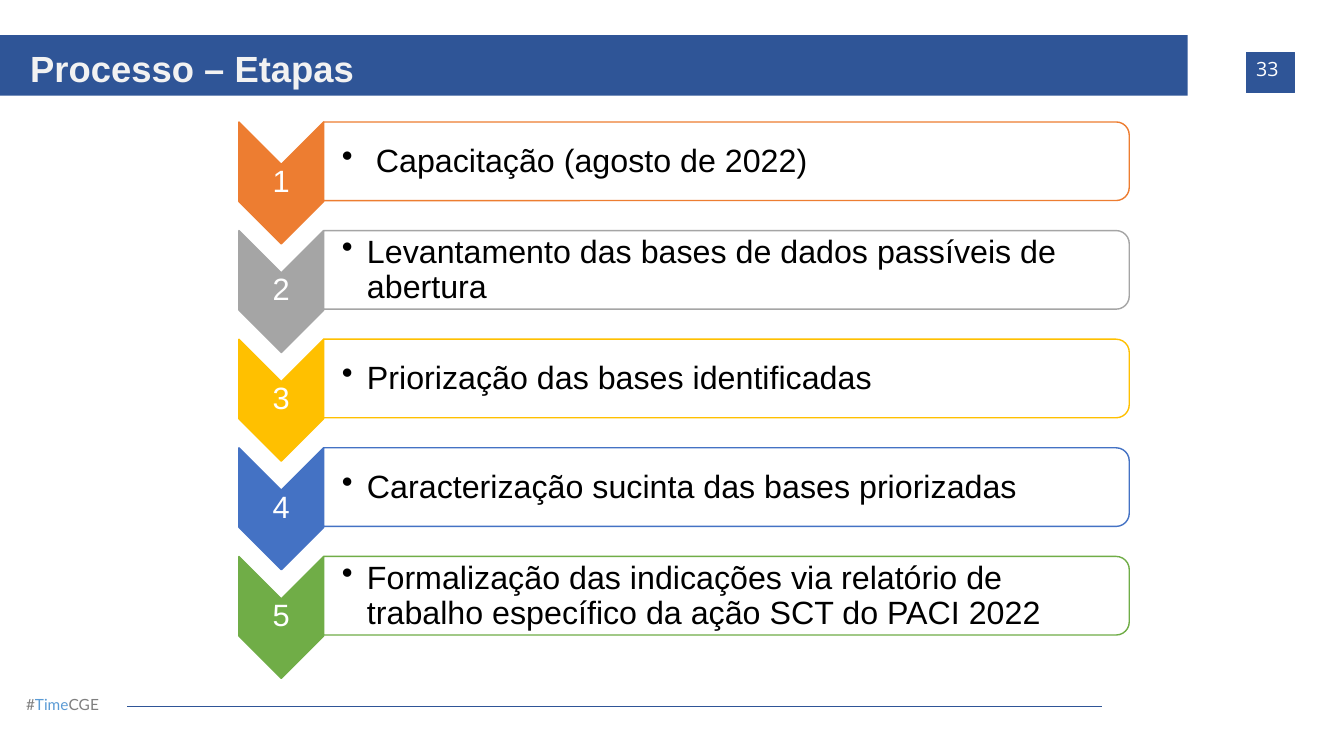
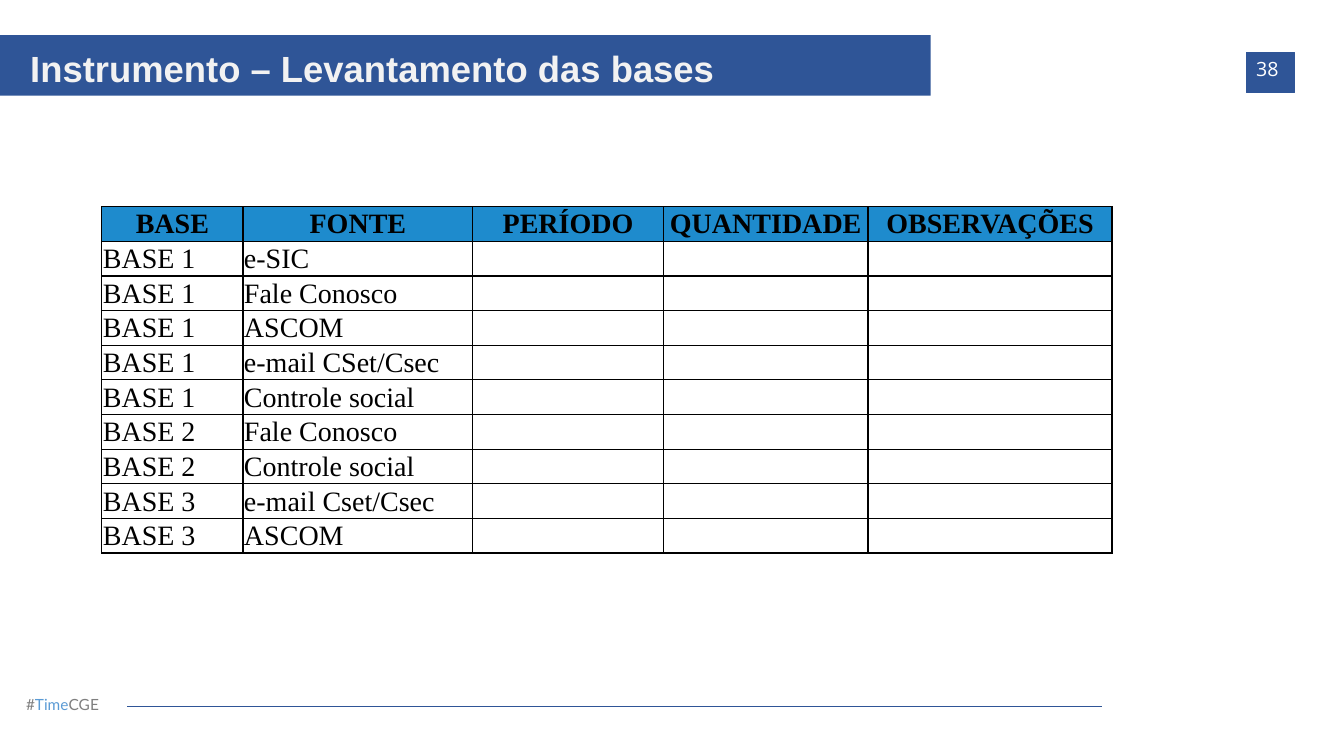
from lxml import etree
from pptx import Presentation
from pptx.dml.color import RGBColor
from pptx.enum.shapes import MSO_CONNECTOR, MSO_SHAPE
from pptx.enum.text import MSO_ANCHOR, PP_ALIGN
from pptx.oxml.ns import qn
from pptx.util import Inches, Pt

RECTANGLE = MSO_SHAPE.RECTANGLE
CHEVRON = MSO_SHAPE.CHEVRON
ROUND_TOP = MSO_SHAPE.ROUND_2_SAME_RECTANGLE
STRAIGHT = MSO_CONNECTOR.STRAIGHT
TOP, MIDDLE, BOTTOM = MSO_ANCHOR.TOP, MSO_ANCHOR.MIDDLE, MSO_ANCHOR.BOTTOM
LEFT, CENTER, JUSTIFY = PP_ALIGN.LEFT, PP_ALIGN.CENTER, PP_ALIGN.JUSTIFY

NAVY = RGBColor(0x2F, 0x55, 0x97)
WHITE = RGBColor(0xFF, 0xFF, 0xFF)
OFF_WHITE = RGBColor(0xF2, 0xF2, 0xF2)
BLACK = RGBColor(0x00, 0x00, 0x00)
GREY = RGBColor(0x7F, 0x7F, 0x7F)
SKY = RGBColor(0x5B, 0x9B, 0xD5)
HEADER_BLUE = RGBColor(0x1E, 0x8B, 0xCD)
STEP_ORANGE = RGBColor(0xED, 0x7D, 0x31)
STEP_GREY = RGBColor(0xA5, 0xA5, 0xA5)
STEP_YELLOW = RGBColor(0xFF, 0xC0, 0x00)
STEP_BLUE = RGBColor(0x44, 0x72, 0xC4)
STEP_GREEN = RGBColor(0x70, 0xAD, 0x47)

BAND_TOP, BAND_HEIGHT = 0.35, 0.6
DEFAULT_INSETS = (0.1, 0.05, 0.1, 0.05)

STEPS = [
    (STEP_ORANGE, " Capacitação (agosto de 2022)"),
    (STEP_GREY, "Levantamento das bases de dados passíveis de abertura"),
    (STEP_YELLOW, "Priorização das bases identificadas"),
    (STEP_BLUE, "Caracterização sucinta das bases priorizadas"),
    (STEP_GREEN, "Formalização das indicações via relatório de "
                 "trabalho específico da ação SCT do PACI 2022"),
]
COLUMNS = [("BASE", 1.4), ("FONTE", 2.28), ("PERÍODO", 1.89),
           ("QUANTIDADE", 2.03), ("OBSERVAÇÕES", 2.42)]
SOURCES = [
    ("BASE 1", "e-SIC"),
    ("BASE 1", "Fale Conosco"),
    ("BASE 1", "ASCOM"),
    ("BASE 1", "e-mail CSet/Csec"),
    ("BASE 1", "Controle social"),
    ("BASE 2", "Fale Conosco"),
    ("BASE 2", "Controle social"),
    ("BASE 3", "e-mail Cset/Csec"),
    ("BASE 3", "ASCOM"),
]


def style_font(font, name, size, color=None, bold=False):
    font.name = name
    font.size = Pt(size)
    font.bold = bold
    if color is not None:
        font.color.rgb = color


def prepare_frame(shape, anchor=TOP, insets=DEFAULT_INSETS):
    frame = shape.text_frame
    frame.word_wrap = True
    frame.vertical_anchor = anchor
    (frame.margin_left, frame.margin_top,
     frame.margin_right, frame.margin_bottom) = map(Inches, insets)
    return frame.paragraphs[0]


def add_box(page, box, anchor, insets):
    return prepare_frame(page.shapes.add_textbox(*map(Inches, box)), anchor, insets)


def add_block(page, kind, box, fill, line=None, line_width=0.75):
    shape = page.shapes.add_shape(kind, *map(Inches, box))
    shape.shadow.inherit = False
    shape.fill.solid()
    shape.fill.fore_color.rgb = fill
    if line is None:
        shape.line.fill.background()
    else:
        shape.line.color.rgb = line
        shape.line.width = Pt(line_width)
    return shape


def add_turned_block(page, kind, box, fill, line):
    left, top, width, height = box
    shift = (width - height) / 2
    unturned = (left + shift, top - shift, height, width)
    add_block(page, kind, unturned, fill, line, 1).rotation = 90


def add_title_band(page, text, width):
    band = add_block(page, RECTANGLE, (0, BAND_TOP, width, BAND_HEIGHT), NAVY)
    para = prepare_frame(band, BOTTOM, (0.3, 0.05, 0.1, 0.05))
    para.text = text
    para.alignment = LEFT
    para.line_spacing = 0.9
    style_font(para.font, "Arial", 26, OFF_WHITE, True)


def add_page_number(page, number):
    tile = add_block(page, RECTANGLE, (12.36, 0.52, 0.48, 0.4), NAVY, NAVY)
    para = prepare_frame(tile)
    para.text = str(number)
    para.alignment = LEFT
    style_font(para.font, "Open Sans", 14, WHITE)


def add_footer(page):
    para = add_box(page, (0.16, 6.85, 1.06, 0.29), TOP, DEFAULT_INSETS)
    style_font(para.font, "Lato", 11)
    for text, color in (("#", GREY), ("Time", SKY), ("CGE", GREY)):
        span = para.add_run()
        span.text = text
        span.font.color.rgb = color
    rule = page.shapes.add_connector(
        STRAIGHT, Inches(1.26), Inches(7.01), Inches(10.93), Inches(7.01))
    rule.line.color.rgb = NAVY
    rule.line.width = Pt(0.75)
    etree.SubElement(rule._element.spPr, qn("a:effectLst"))


def add_page(deck, title, band_width, number):
    page = deck.slides.add_slide(deck.slide_layouts[6])
    add_footer(page)
    add_title_band(page, title, band_width)
    add_page_number(page, number)
    return page


def add_bullet(para, indent):
    properties = para._p.get_or_add_pPr()
    properties.set("marL", str(Inches(indent)))
    properties.set("indent", str(-Inches(indent)))
    bullet = etree.Element(qn("a:buChar"), char="•")
    default_font = properties.find(qn("a:defRPr"))
    default_font.addprevious(bullet)


def add_step(page, box, number, color, text):
    left, top, width, height = box
    arrow_width, panel_height = 0.84, 0.78
    panel_left = left + arrow_width
    panel_width = width - arrow_width
    add_turned_block(page, CHEVRON, (left, top, arrow_width, height), color, color)
    add_turned_block(page, ROUND_TOP,
                     (panel_left, top, panel_width, panel_height), WHITE, color)

    para = add_box(page, (left, top + 0.42, arrow_width, 0.36), MIDDLE, (0.02,) * 4)
    para.text = str(number)
    para.alignment = CENTER
    para.line_spacing = 0.9
    style_font(para.font, "Arial", 22, WHITE)

    para = add_box(page, (panel_left, top + 0.04, panel_width - 0.04, 0.71),
                   MIDDLE, (0.18, 0.02, 0.02, 0.02))
    para.text = text
    para.line_spacing = 0.9
    style_font(para.font, "Arial", 23, BLACK)
    add_bullet(para, 0.25)


def add_steps(page, box):
    left, top, width, height = box
    step_height = 1.21
    pitch = (height - step_height) / (len(STEPS) - 1)
    for index, (color, text) in enumerate(STEPS):
        step_box = (left, top + index * pitch, width, step_height)
        add_step(page, step_box, index + 1, color, text)


def add_borders(cell):
    properties = cell._tc.get_or_add_tcPr()
    for side in ("lnL", "lnR", "lnT", "lnB"):
        line = etree.SubElement(properties, qn(f"a:{side}"), w=str(Pt(1)))
        fill = etree.SubElement(line, qn("a:solidFill"))
        etree.SubElement(fill, qn("a:srgbClr"), val=str(BLACK))


def fill_cell(cell, text, is_header):
    add_borders(cell)
    if is_header:
        cell.fill.solid()
        cell.fill.fore_color.rgb = HEADER_BLUE
    else:
        cell.fill.background()
    cell.vertical_anchor = MIDDLE
    cell.margin_left = cell.margin_right = cell.margin_top = Inches(0.01)
    cell.margin_bottom = 0
    para = cell.text_frame.paragraphs[0]
    if text:
        para.text = text
    para.alignment = CENTER if is_header else JUSTIFY
    style_font(para.font, "Times New Roman", 20, BLACK, is_header)


def add_source_table(page, box):
    headings = [heading for heading, _ in COLUMNS]
    blanks = ("",) * (len(COLUMNS) - 2)
    rows = [headings] + [source + blanks for source in SOURCES]
    frame = page.shapes.add_table(len(rows), len(COLUMNS), *map(Inches, box))
    table = frame.table
    table.first_row = False
    table.horz_banding = False
    for column, (_, width) in zip(table.columns, COLUMNS):
        column.width = Inches(width)
    for row_index, texts in enumerate(rows):
        table.rows[row_index].height = Inches(box[3] / len(rows))
        for column_index, text in enumerate(texts):
            fill_cell(table.cell(row_index, column_index), text, row_index == 0)


def main():
    deck = Presentation()
    deck.slide_width = Inches(13.33)
    deck.slide_height = Inches(7.5)

    page = add_page(deck, "Processo – Etapas", 11.78, 33)
    add_steps(page, (2.37, 1.21, 8.83, 5.52))

    page = add_page(deck, "Instrumento – Levantamento das bases", 9.23, 38)
    add_source_table(page, (1.01, 2.05, 10.02, 3.42))

    deck.save("out.pptx")


if __name__ == "__main__":
    main()
